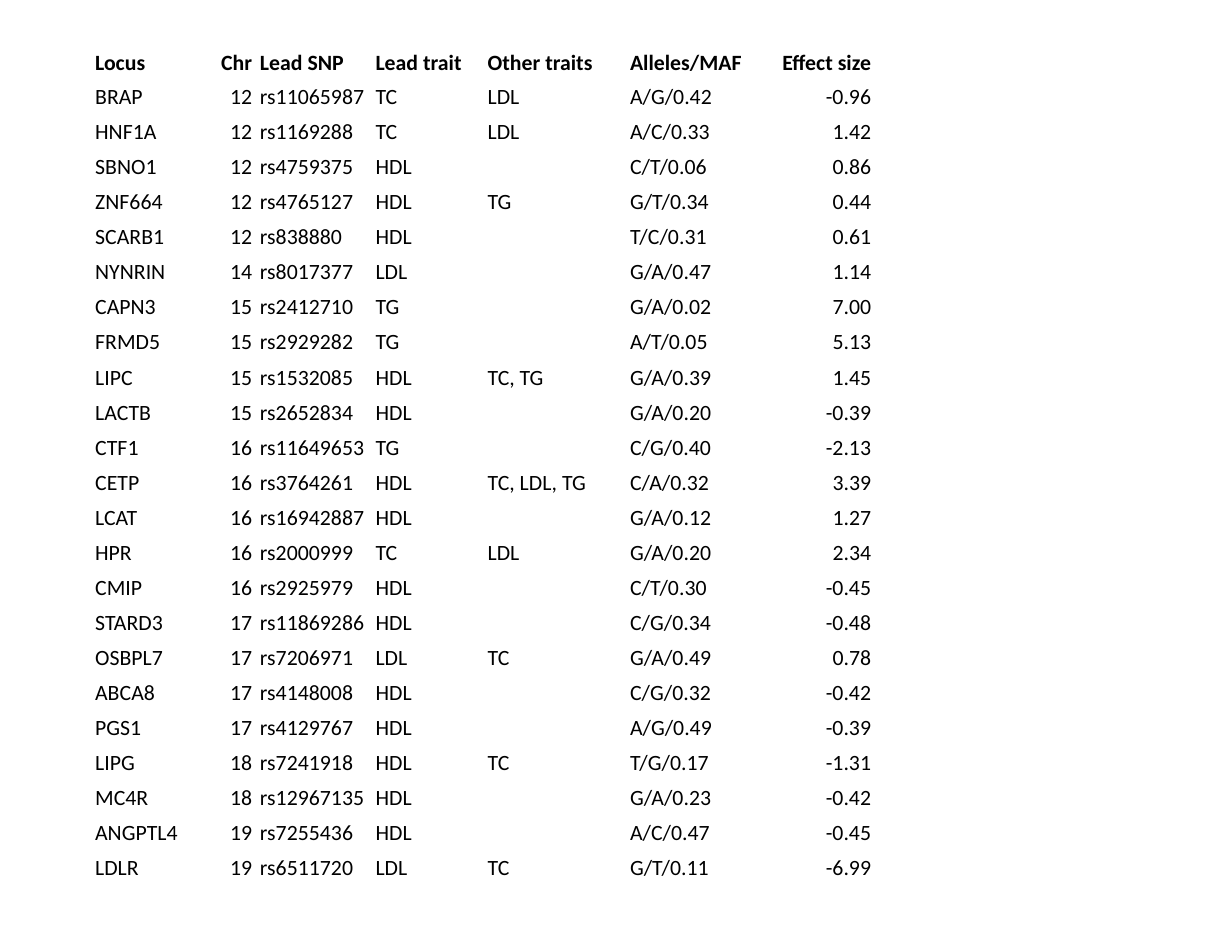
import pptx
import pptx.dml.color
import pptx.enum.text
import pptx.util

Inches = pptx.util.Inches
Pt = pptx.util.Pt
LEFT = pptx.enum.text.PP_ALIGN.LEFT
RIGHT = pptx.enum.text.PP_ALIGN.RIGHT

FONT = "Calibri"
SIZE = 14
COLUMNS = [
    ("Locus", 0.96, LEFT, 0.02),
    ("Chr", 0.49, RIGHT, 0.03),
    ("Lead SNP", 1.02, LEFT, 0.04),
    ("Lead trait", 1.0, LEFT, 0.05),
    ("Other traits", 1.23, LEFT, 0.05),
    ("Alleles/MAF", 1.25, LEFT, 0.09),
    ("Effect size", 1.0, RIGHT, 0.01),
]
LOCI = [
    ("BRAP", "12", "rs11065987", "TC", "LDL", "A/G/0.42", "-0.96"),
    ("HNF1A", "12", "rs1169288", "TC", "LDL", "A/C/0.33", "1.42"),
    ("SBNO1", "12", "rs4759375", "HDL", "", "C/T/0.06", "0.86"),
    ("ZNF664", "12", "rs4765127", "HDL", "TG", "G/T/0.34", "0.44"),
    ("SCARB1", "12", "rs838880", "HDL", "", "T/C/0.31", "0.61"),
    ("NYNRIN", "14", "rs8017377", "LDL", "", "G/A/0.47", "1.14"),
    ("CAPN3", "15", "rs2412710", "TG", "", "G/A/0.02", "7.00"),
    ("FRMD5", "15", "rs2929282", "TG", "", "A/T/0.05", "5.13"),
    ("LIPC", "15", "rs1532085", "HDL", "TC, TG", "G/A/0.39", "1.45"),
    ("LACTB", "15", "rs2652834", "HDL", "", "G/A/0.20", "-0.39"),
    ("CTF1", "16", "rs11649653", "TG", "", "C/G/0.40", "-2.13"),
    ("CETP", "16", "rs3764261", "HDL", "TC, LDL, TG", "C/A/0.32", "3.39"),
    ("LCAT", "16", "rs16942887", "HDL", "", "G/A/0.12", "1.27"),
    ("HPR", "16", "rs2000999", "TC", "LDL", "G/A/0.20", "2.34"),
    ("CMIP", "16", "rs2925979", "HDL", "", "C/T/0.30", "-0.45"),
    ("STARD3", "17", "rs11869286", "HDL", "", "C/G/0.34", "-0.48"),
    ("OSBPL7", "17", "rs7206971", "LDL", "TC", "G/A/0.49", "0.78"),
    ("ABCA8", "17", "rs4148008", "HDL", "", "C/G/0.32", "-0.42"),
    ("PGS1", "17", "rs4129767", "HDL", "", "A/G/0.49", "-0.39"),
    ("LIPG", "18", "rs7241918", "HDL", "TC", "T/G/0.17", "-1.31"),
    ("MC4R", "18", "rs12967135", "HDL", "", "G/A/0.23", "-0.42"),
    ("ANGPTL4", "19", "rs7255436", "HDL", "", "A/C/0.47", "-0.45"),
    ("LDLR", "19", "rs6511720", "LDL", "TC", "G/T/0.11", "-6.99"),
]


def rgb(value):
    return pptx.dml.color.RGBColor.from_string(value)


def fill_cell(cell, text, align, inset, header):
    cell.fill.background()
    cell.margin_left = Inches(inset if align == LEFT else 0)
    cell.margin_right = Inches(inset if align == RIGHT else 0)
    cell.margin_top = Pt(2.2 if header else 1.4)
    cell.margin_bottom = 0
    cell.text_frame.text = text
    p = cell.text_frame.paragraphs[0]
    p.alignment = align
    for r in p.runs:
        r.font.name = FONT
        r.font.size = Pt(SIZE)
        r.font.bold = header
        r.font.color.rgb = rgb("000000")
    if not text:
        p._p.get_or_add_endParaRPr().set("sz", str(SIZE * 100))


def add_locus_table(s, left, top, width, height):
    rows = [[name for name, *_ in COLUMNS], *LOCI]
    table = s.shapes.add_table(len(rows), len(COLUMNS), left, top, width, height).table
    table.first_row = False
    table.horz_banding = False
    edge_height = Inches(0.32)
    body_height = (height - 2 * edge_height) // (len(rows) - 2)
    total = sum(share for _, share, _, _ in COLUMNS)
    for column, (_, share, _, _) in zip(table.columns, COLUMNS):
        column.width = int(width * share / total)
    for i, values in enumerate(rows):
        table.rows[i].height = edge_height if i in (0, len(rows) - 1) else body_height
        for j, (text, (_, _, align, inset)) in enumerate(zip(values, COLUMNS)):
            fill_cell(table.cell(i, j), text, align, inset, i == 0)


def main():
    prs = pptx.Presentation()
    prs.slide_width = Inches(11)
    prs.slide_height = Inches(8.5)
    s = prs.slides.add_slide(prs.slide_layouts[6])
    add_locus_table(s, Inches(0.83), Inches(0.41), Inches(6.96), Inches(7.53))
    prs.save("out.pptx")


if __name__ == "__main__":
    main()
